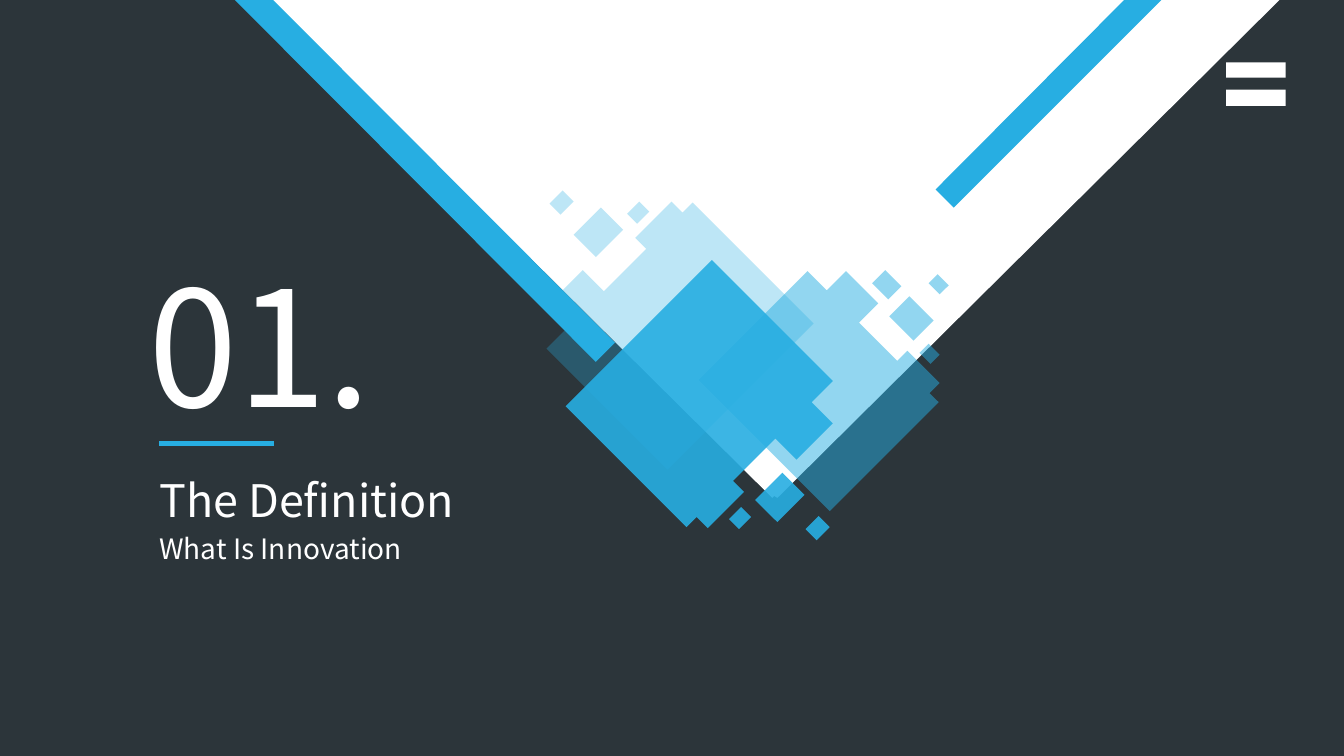
from lxml.etree import SubElement
from pptx import Presentation
from pptx.dml.color import RGBColor
from pptx.enum.shapes import MSO_CONNECTOR
from pptx.enum.text import MSO_ANCHOR, MSO_AUTO_SIZE, PP_ALIGN
from pptx.oxml.ns import qn
from pptx.util import Inches, Pt

CELL = Inches(0.01)
COLUMNS, ROWS = 1333, 750
FONT = "Noto Sans CJK JP"
SLATE, WHITE, BLUE = "2C353A", "FFFFFF", "27AEE2"

WHITE_WEDGE = [(268, 0), (1269, 0), (771, 494), (768, 492), (766, 494)]
RIGHT_BAR = [(1115, 0), (1152, 0), (946, 206), (928, 188)]
LEFT_BAR = [(233, 0), (271, 0), (610, 340), (591, 359)]
EMBLEM_BARS = [
    [(1216, top), (1275, top), (1275, bottom), (1216, bottom)]
    for top, bottom in ((62, 77), (89, 105))
]

RIGHT_TILES = [
    ((921, 341), (11, 9, -11)),
    ((902, 294), (24, 20, -24)),
    ((930, 272), (11, 9, -11)),
    ((801, 269), (19, -19, 32, 19, 38, -10, 32, 10, 9, 108, -130)),
    ((878, 268), (16, 13, -16)),
]
LEFT_TILES = [
    ((596, 206), (22, 27, -22)),
    ((666, 200), (11, -10, 120, 145, -120, -21, -21, -36, 21, -42, -11)),
    ((634, 200), (10, 12, -10)),
    ((558, 189), (11, 13, -11)),
]
FRONT_TILES = [
    ((812, 512), (11, 13, -11)),
    ((735, 503), (10, 12, -10)),
    ((776, 469), (22, 27, -22)),
    ((706, 258), (120, 21, 21, 36, -21, 42, 11, 36, -11, 10, -120)),
]


def color(hex_text):
    return RGBColor.from_string(hex_text)


def tile_outline(corner, steps):
    x, y = corner
    points = [corner]
    for index, step in enumerate(steps):
        x += -step if index % 2 else step
        y += step
        points.append((x, y))
    return points


def add_outlines(page, outlines, fill, opacity=100):
    first, *others = outlines
    builder = page.shapes.build_freeform(*first[0], scale=CELL)
    builder.add_line_segments(first[1:])
    for outline in others:
        builder.move_to(*outline[0])
        builder.add_line_segments(outline[1:])
    shape = builder.convert_to_shape()
    shape.shadow.inherit = False
    shape.line.fill.background()
    shape.fill.solid()
    shape.fill.fore_color.rgb = color(fill)
    if opacity < 100:
        tint = shape.element.spPr.find(".//" + qn("a:srgbClr"))
        SubElement(tint, qn("a:alpha")).set("val", str(opacity * 1000))


def add_tiles(page, tiles, opacity):
    add_outlines(page, [tile_outline(*tile) for tile in tiles], BLUE, opacity)


def add_rule(page, left, right, row):
    rule = page.shapes.add_connector(
        MSO_CONNECTOR.STRAIGHT, left * CELL, row * CELL, right * CELL, row * CELL)
    rule.line.color.rgb = color(BLUE)
    rule.line.width = Pt(3.3)
    SubElement(rule.element.spPr, qn("a:effectLst"))


def write_text(box, area, text, size, anchor):
    box.left, box.top, box.width, box.height = (cells * CELL for cells in area)
    frame = box.text_frame
    frame.margin_left = frame.margin_top = frame.margin_right = frame.margin_bottom = 0
    frame.word_wrap = True
    frame.auto_size = MSO_AUTO_SIZE.SHAPE_TO_FIT_TEXT
    frame.vertical_anchor = anchor
    para = frame.paragraphs[0]
    para.alignment = PP_ALIGN.LEFT
    span = para.add_run()
    span.text = text
    span.font.name = FONT
    span.font.size = Pt(size)
    span.font.color.rgb = color(WHITE)


def add_text(page, area, text, size, anchor=MSO_ANCHOR.TOP):
    write_text(page.shapes.add_textbox(0, 0, CELL, CELL), area, text, size, anchor)


def main():
    deck = Presentation()
    deck.slide_width, deck.slide_height = COLUMNS * CELL, ROWS * CELL
    page = deck.slides.add_slide(deck.slide_layouts[5])
    page.background.fill.solid()
    page.background.fill.fore_color.rgb = color(SLATE)

    add_outlines(page, [WHITE_WEDGE], WHITE)
    add_outlines(page, [RIGHT_BAR], BLUE)
    add_outlines(page, [LEFT_BAR], BLUE)
    add_tiles(page, RIGHT_TILES, 50)
    add_tiles(page, LEFT_TILES, 30)
    add_tiles(page, FRONT_TILES, 90)

    add_text(page, (147, 243, 261, 194), "01.", 115, MSO_ANCHOR.MIDDLE)
    write_text(page.shapes.title, (158, 469, 305, 54), "The Definition", 32, MSO_ANCHOR.TOP)
    add_text(page, (158, 527, 363, 34), "What Is Innovation", 20)
    add_rule(page, 158, 272, 440)
    add_outlines(page, EMBLEM_BARS, WHITE)
    deck.save("out.pptx")


if __name__ == "__main__":
    main()
